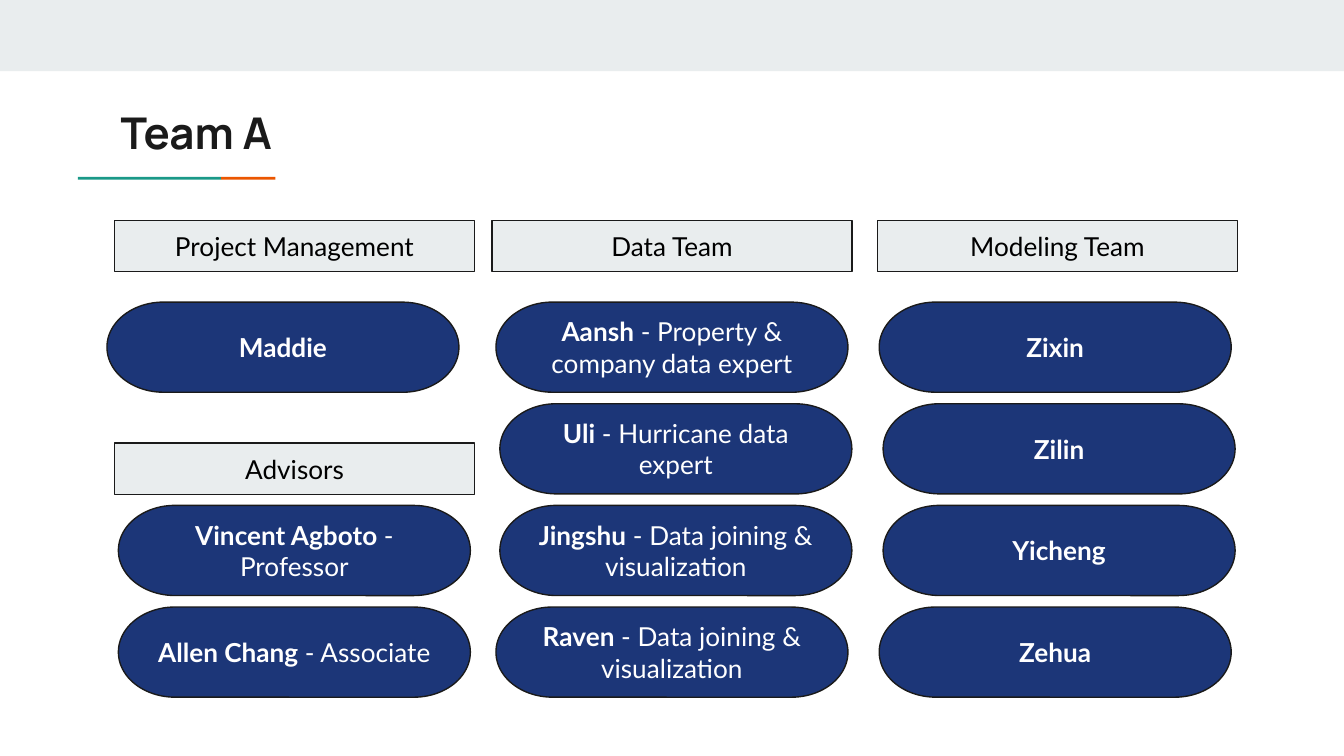
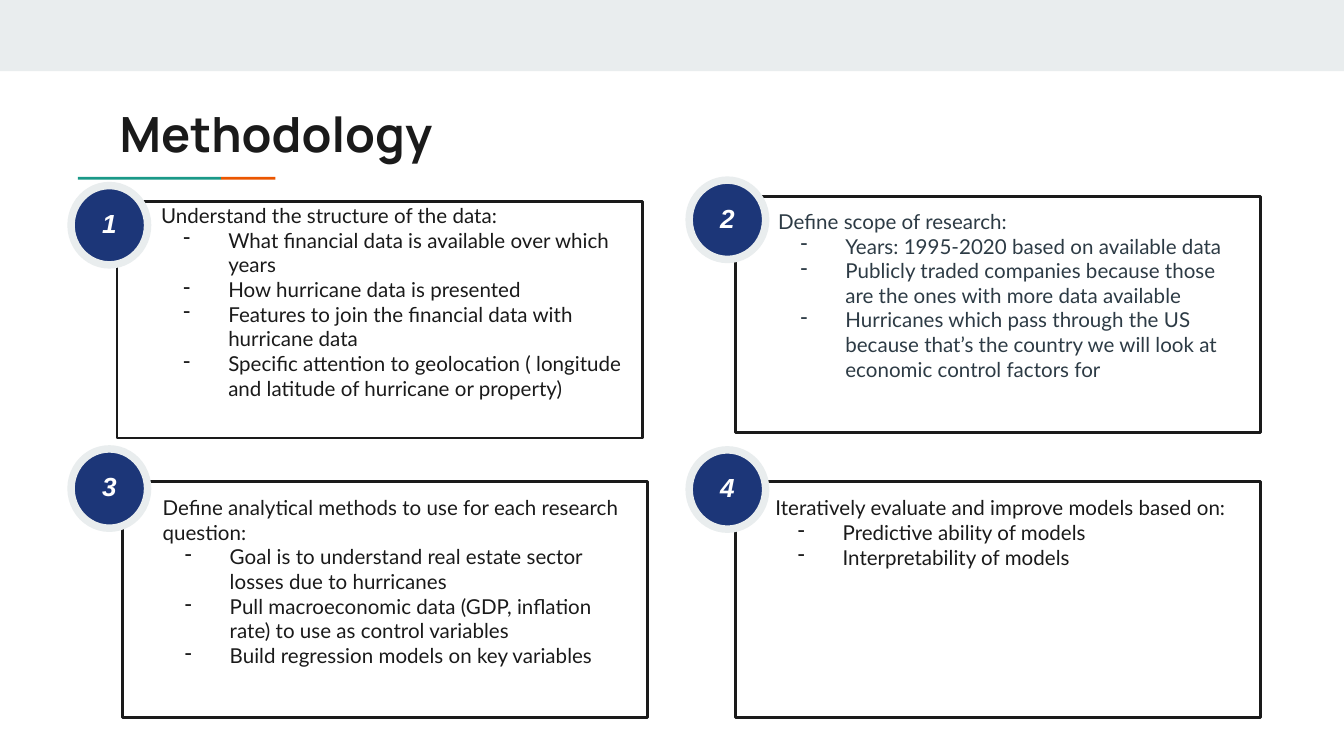
from dataclasses import dataclass

from lxml import etree
from pptx import Presentation
from pptx.dml.color import RGBColor
from pptx.enum import shapes, text
from pptx.oxml import ns
from pptx.util import Pt

WHITE = RGBColor(0xFF, 0xFF, 0xFF)
BLACK = RGBColor(0x00, 0x00, 0x00)
INK = RGBColor(0x1A, 0x1A, 0x1A)
SLATE = RGBColor(0x2D, 0x3B, 0x45)
MIST = RGBColor(0xE9, 0xED, 0xEE)
NAVY = RGBColor(0x1C, 0x36, 0x78)
TEAL = RGBColor(0x1A, 0x99, 0x88)
ORANGE = RGBColor(0xEB, 0x56, 0x00)

BODY_FONT, TITLE_FONT, NUMBER_FONT = "Lato", "Manrope", "Arial"
SLIDE_WIDTH, SLIDE_HEIGHT = 720, 405
HEADER_SIZE = (193, 27.4)
PILL_SIZE = (188.6, 48.3)
PILL_TOP, PILL_STEP, PILL_SHIFT = 161.9, 54.45, 2.1
PANEL_SIZE = (281.5, 126.7)
BADGE_SIZE = (41, 42.5)
INSET = 7.2


@dataclass(frozen=True)
class Member:
    name: str
    role: str = ""


@dataclass(frozen=True)
class Team:
    title: str
    header_left: float
    header_top: float
    pill_left: float
    first_row: int
    members: tuple[Member, ...]


@dataclass(frozen=True)
class Step:
    heading: str
    points: tuple[str, ...]
    panel: tuple[float, float]
    badge: tuple[float, float]
    note: tuple[float, float, float, float]
    insets: tuple[float, float] = (5, 3.2)
    color: RGBColor = INK
    align: text.PP_ALIGN = text.PP_ALIGN.LEFT


TEAMS = (
    Team("Project Management", 61.3, 118, 57.3, 0, (Member("Maddie"),)),
    Team("Data Team", 263.5, 118, 265.7, 0, (
        Member("Aansh", " - Property & company data expert"),
        Member("Uli", " - Hurricane data expert"),
        Member("Jingshu", " - Data joining & visualization"),
        Member("Raven", " - Data joining & visualization"),
    )),
    Team("Modeling Team", 470, 118, 471, 0, (
        Member("Zixin"), Member("Zilin"), Member("Yicheng"), Member("Zehua"),
    )),
    Team("Advisors", 61.3, 237.4, 63.4, 2, (
        Member("Vincent Agboto ", "- Professor"),
        Member("Allen Chang ", "- Associate"),
    )),
)

STEPS = (
    Step(
        "Understand the structure of the data:",
        (
            "What financial data is available over which years",
            "How hurricane data is presented",
            "Features to join the financial data with hurricane data",
            "Specific attention to geolocation ( longitude and latitude of hurricane or property)",
        ),
        panel=(62.7, 108), badge=(38.1, 99.4),
        note=(79.2, 101.5, 262, 121), insets=(INSET, INSET),
    ),
    Step(
        "Define scope of research:",
        (
            "Years: 1995-2020 based on available data",
            "Publicly traded companies because those are the ones with more data available",
            "Hurricanes which pass through the US because that’s the country we will look at "
            "economic control factors for",
        ),
        panel=(393.9, 105.1), badge=(369.2, 96.5),
        note=(411.9, 108.7, 252, 98.6), color=SLATE,
    ),
    Step(
        "Define analytical methods to use for each research question:",
        (
            "Goal is to understand real estate sector losses due to hurricanes",
            "Pull macroeconomic data (GDP, inflation rate) to use as control variables",
            "Build regression models on key variables",
        ),
        panel=(65.5, 257.8), badge=(38.1, 240.5),
        note=(82.1, 262.1, 262, 98.6),
    ),
    Step(
        "Iteratively evaluate and improve models based on:",
        ("Predictive ability of models", "Interpretability of models"),
        panel=(393.9, 257.8), badge=(369.2, 241),
        note=(410.4, 262.1, 262, 59), align=text.PP_ALIGN.JUSTIFY,
    ),
)


def set_insets(frame, horizontal: float, vertical: float) -> None:
    frame.margin_left = frame.margin_right = Pt(horizontal)
    frame.margin_top = frame.margin_bottom = Pt(vertical)
    frame.word_wrap = True


def set_font(paragraph, name: str, size: float, color: RGBColor) -> None:
    paragraph.font.name = name
    paragraph.font.size = Pt(size)
    paragraph.font.color.rgb = color


def add_block(slide, kind, left: float, top: float, size: tuple[float, float],
              fill: RGBColor | None = None, line: RGBColor | None = None,
              line_width: float = 0.75):
    """Add a preset shape without shadow; no colour means no fill or line."""
    shape = slide.shapes.add_shape(kind, Pt(left), Pt(top), *map(Pt, size))
    shape.shadow.inherit = False
    if fill is None:
        shape.fill.background()
    else:
        shape.fill.solid()
        shape.fill.fore_color.rgb = fill
    if line is None:
        shape.line.fill.background()
    else:
        shape.line.color.rgb = line
        shape.line.width = Pt(line_width)
    return shape


def center_text(shape, inset: float = INSET):
    """Prepare a shape for centred text and return its first paragraph."""
    frame = shape.text_frame
    set_insets(frame, inset, inset)
    frame.vertical_anchor = text.MSO_ANCHOR.MIDDLE
    paragraph = frame.paragraphs[0]
    paragraph.alignment = text.PP_ALIGN.CENTER
    return paragraph


def add_titled_slide(presentation, title: str, left: float, top: float,
                     size: float, line_spacing: float = 1.0):
    slide = presentation.slides.add_slide(presentation.slide_layouts[5])
    rectangle = shapes.MSO_SHAPE.RECTANGLE
    add_block(slide, rectangle, 0, 0, (SLIDE_WIDTH, 38.2), MIST)
    add_block(slide, rectangle, 41.8, 94.8, (76.7, 1.5), TEAL)
    add_block(slide, rectangle, 118.5, 94.8, (29, 1.5), ORANGE)

    placeholder = slide.shapes.title
    placeholder.left, placeholder.top = Pt(left), Pt(top)
    placeholder.width, placeholder.height = Pt(605.5), Pt(42.5)
    frame = placeholder.text_frame
    frame.text = title
    set_insets(frame, INSET, INSET)
    frame.auto_size = text.MSO_AUTO_SIZE.NONE
    frame.vertical_anchor = text.MSO_ANCHOR.TOP
    paragraph = frame.paragraphs[0]
    paragraph.alignment = text.PP_ALIGN.LEFT
    paragraph.line_spacing = line_spacing
    set_font(paragraph, TITLE_FONT, size, INK)
    paragraph.font.bold = True
    return slide


def add_member(slide, member: Member, left: float, top: float) -> None:
    pill = add_block(slide, shapes.MSO_SHAPE.FLOWCHART_TERMINATOR, left, top,
                     PILL_SIZE, NAVY, INK)
    paragraph = center_text(pill)
    set_font(paragraph, BODY_FONT, 14, WHITE)
    name = paragraph.add_run()
    name.text = member.name
    name.font.bold = True
    if member.role:
        paragraph.add_run().text = member.role


def add_team(slide, team: Team) -> None:
    header = add_block(slide, shapes.MSO_SHAPE.RECTANGLE, team.header_left,
                       team.header_top, HEADER_SIZE, MIST, INK)
    paragraph = center_text(header)
    paragraph.text = team.title
    set_font(paragraph, BODY_FONT, 14, BLACK)
    for row, member in enumerate(team.members, team.first_row):
        shifted = team.first_row == 0 and row in (1, 2)
        left = team.pill_left + (PILL_SHIFT if shifted else 0)
        add_member(slide, member, left, PILL_TOP + row * PILL_STEP)


def add_dash(paragraph, color: RGBColor) -> None:
    """Give a paragraph a hanging dash bullet."""
    properties = paragraph._p.get_or_add_pPr()
    properties.set("marL", str(Pt(36)))
    properties.set("indent", str(Pt(-24)))
    bullet_color = etree.SubElement(properties, ns.qn("a:buClr"))
    etree.SubElement(bullet_color, ns.qn("a:srgbClr"), val=str(color))
    etree.SubElement(properties, ns.qn("a:buChar"), char="-")


def add_note(slide, step: Step) -> None:
    frame = slide.shapes.add_textbox(*map(Pt, step.note)).text_frame
    set_insets(frame, *step.insets)
    frame.auto_size = text.MSO_AUTO_SIZE.SHAPE_TO_FIT_TEXT
    for index, line in enumerate((step.heading, *step.points)):
        paragraph = frame.add_paragraph() if index else frame.paragraphs[0]
        paragraph.text = line
        paragraph.alignment = step.align
        if index:
            add_dash(paragraph, step.color)
        set_font(paragraph, BODY_FONT, 11, step.color)


def add_badge(slide, number: int, step: Step) -> None:
    badge = add_block(slide, shapes.MSO_SHAPE.OVAL, *step.badge, BADGE_SIZE,
                      NAVY, MIST, 4)
    paragraph = center_text(badge, 2.2)
    paragraph.text = str(number)
    paragraph.line_spacing = 0.9
    set_font(paragraph, NUMBER_FONT, 14, WHITE)
    paragraph.font.bold = paragraph.font.italic = True


def build_team_slide(presentation) -> None:
    slide = add_titled_slide(presentation, "Team A", 57.4, 49.7, 23.4)
    for team in TEAMS:
        add_team(slide, team)


def build_methodology_slide(presentation) -> None:
    slide = add_titled_slide(presentation, "Methodology", 56.9, 54.7, 26, 0.8)
    for number, step in enumerate(STEPS, 1):
        add_block(slide, shapes.MSO_SHAPE.RECTANGLE, *step.panel, PANEL_SIZE,
                  line=INK, line_width=1.5)
        add_note(slide, step)
        add_badge(slide, number, step)


def main() -> None:
    presentation = Presentation()
    presentation.slide_width = Pt(SLIDE_WIDTH)
    presentation.slide_height = Pt(SLIDE_HEIGHT)
    build_team_slide(presentation)
    build_methodology_slide(presentation)
    presentation.save("out.pptx")


if __name__ == "__main__":
    main()
